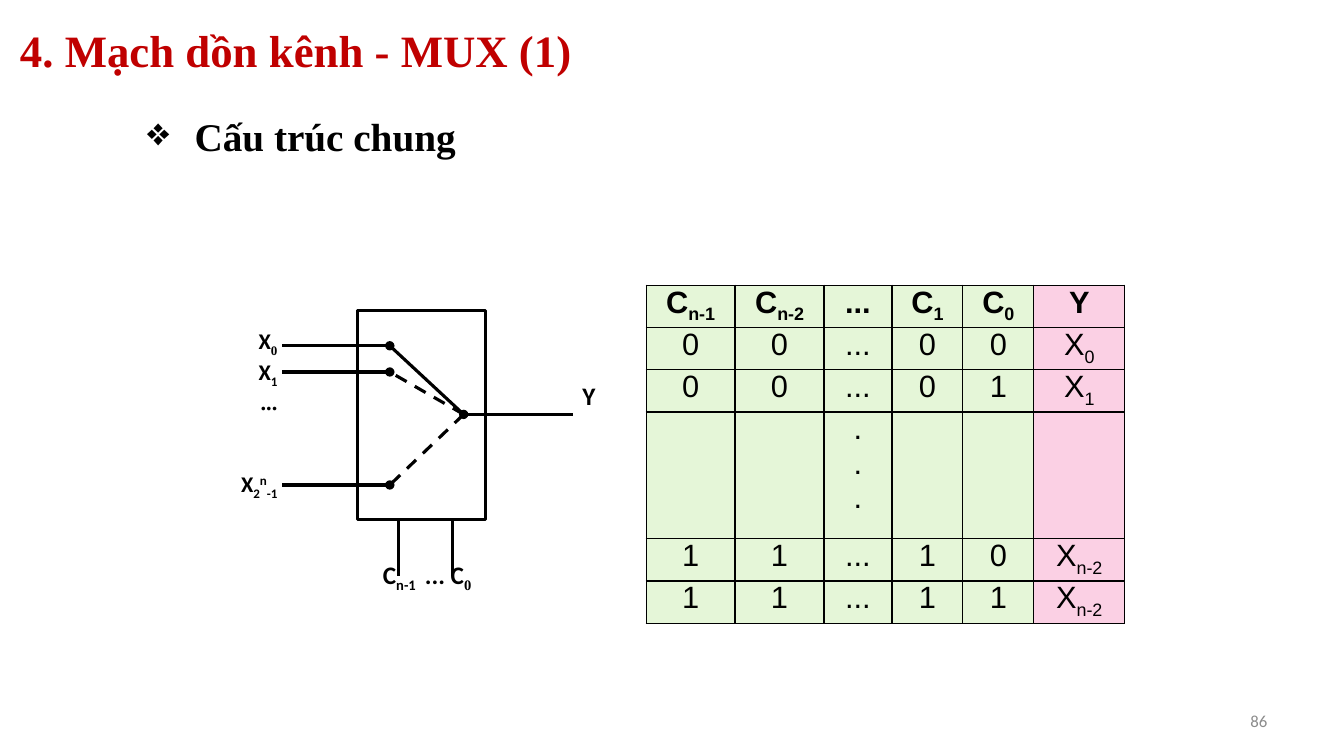
from lxml import etree
from pptx import Presentation
from pptx.dml.color import RGBColor
from pptx.enum.dml import MSO_LINE_DASH_STYLE as DASH
from pptx.enum.shapes import MSO_CONNECTOR as CONN, MSO_SHAPE as SHAPE
from pptx.enum.text import MSO_ANCHOR as ANCHOR, PP_ALIGN as ALIGN
from pptx.oxml.ns import qn
from pptx.util import Pt

BLACK, RED, GREY = "000000", "C00000", "8C8C8C"
GREEN, PINK = "E5F6D8", "FBD0E4"
SERIF, SANS, TABLE_FONT = "Times New Roman", "Calibri", "Arial"
SUB, SUPER = -25, 30


def rgb(color):
    return RGBColor.from_string(color)


def add_run(p, text, size, font, color=BLACK, bold=True, base=0):
    """Add a run; base is its shift in percent, negative for a subscript."""
    r = p.add_run()
    r.text = text
    r.font.size, r.font.name, r.font.bold = Pt(size), font, bold
    r.font.color.rgb = rgb(color)
    if base:
        r.font._element.set("baseline", str(base * 1000))


def add_box(s, x, y, w, h, anchor=ANCHOR.TOP, wrap=True):
    tf = s.shapes.add_textbox(Pt(x), Pt(y), Pt(w), Pt(h)).text_frame
    tf.word_wrap, tf.vertical_anchor = wrap, anchor
    return tf


def add_line(s, start, end, dashed=False, dot=None):
    """Draw a line; dot is "headEnd" or "tailEnd" for a round end."""
    c = s.shapes.add_connector(CONN.STRAIGHT, *(Pt(v) for v in (*start, *end)))
    c.line.width = Pt(2.25)
    c.line.color.rgb = rgb(BLACK)
    if dashed:
        c.line.dash_style = DASH.DASH
    if dot:
        etree.SubElement(c.line._get_or_add_ln(), qn("a:" + dot), type="oval")
    etree.SubElement(c._element.spPr, qn("a:effectLst"))


def add_title(s, x, y, w, h):
    p = add_box(s, x, y, w, h, ANCHOR.MIDDLE).paragraphs[0]
    add_run(p, "4. Mạch dồn kênh - MUX (1)", 32, SERIF, RED)


def add_heading(s, x, y, w, h):
    p = add_box(s, x, y, w, h, wrap=False).paragraphs[0]
    pPr = p._p.get_or_add_pPr()
    pPr.set("marL", str(Pt(34)))
    pPr.set("indent", str(Pt(-34)))
    etree.SubElement(pPr, qn("a:buChar"), char="❖")
    add_run(p, "Cấu trúc chung", 28, SERIF)


def add_page_number(s, x, y, w, h):
    p = add_box(s, x, y, w, h, ANCHOR.MIDDLE).paragraphs[0]
    p.alignment = ALIGN.RIGHT
    add_run(p, "86", 12, SANS, GREY, False)


def add_multiplexer(s, x, y, w, h):
    """Draw the switch block in the given box, with its labels around it."""
    block = s.shapes.add_shape(SHAPE.RECTANGLE, Pt(x), Pt(y), Pt(w), Pt(h))
    block.shadow.inherit = False
    block.fill.solid()
    block.fill.fore_color.rgb = rgb("FFFFFF")
    block.line.color.rgb = rgb(BLACK)
    block.line.width = Pt(2.25)

    contact_x = x + w / 4
    pivot = x + 75.6, y + 74.2
    contacts = [(contact_x, y + dy) for dy in (25.2, 43.9, 124.6)]
    for contact in contacts:
        add_line(s, (x - 54, contact[1]), contact, dot="tailEnd")
    add_line(s, pivot, (pivot[0] + 77.8, pivot[1]), dot="headEnd")
    add_line(s, contacts[0], pivot)
    for contact in contacts[1:]:
        add_line(s, pivot, contact, dashed=True)
    for dx in (28.8, 67.7):
        add_line(s, (x + dx, y + h), (x + dx, y + h + 40.5))

    inputs = [
        [("X", 0, SANS), ("0", SUB, SERIF)],
        [("X", 0, SANS), ("1", SUB, SANS)],
        [("...", 0, SERIF)],
        [("X", 0, SANS), ("2", SUB, SANS), ("n", SUPER, SANS), ("-1", SUB, SANS)],
    ]
    controls = [("C", 0, SANS), ("n-1 ", SUB, SANS), (" ... C", 0, SANS),
                ("0", SUB, SERIF)]
    labels = [
        ((x - 109.4, y + 8.6, 59, 139), 16, ALIGN.RIGHT, inputs),
        ((x + 10.8, y + 174.2, 90, 51.8), 18, ALIGN.LEFT, [controls]),
        ((x + 153.4, y + 46, 31, 48.2), 18, ALIGN.LEFT, [[("Y", 0, SANS)]]),
    ]
    for box, size, align, lines in labels:
        tf = add_box(s, *box)
        for i, runs in enumerate(lines):
            p = tf.add_paragraph() if i else tf.paragraphs[0]
            p.alignment = align
            for text, base, font in runs:
                add_run(p, text, size, font, base=base)
    last_input = s.shapes[-3].text_frame.paragraphs[-1]
    last_input.space_before = Pt(39)


def add_borders(cell):
    tcPr = cell._tc.get_or_add_tcPr()
    for side in ("lnL", "lnR", "lnT", "lnB"):
        ln = etree.SubElement(tcPr, qn("a:" + side), w=str(Pt(1)))
        fill = etree.SubElement(ln, qn("a:solidFill"))
        etree.SubElement(fill, qn("a:srgbClr"), val=BLACK)


def fill_cell(cell, text, color, bold):
    """Write the lines of a cell; the part after "_" is a subscript."""
    cell.margin_left = cell.margin_right = Pt(8.6)
    cell.margin_top = cell.margin_bottom = 0
    add_borders(cell)
    cell.fill.solid()
    cell.fill.fore_color.rgb = rgb(color)
    for i, line in enumerate(text.split()):
        tf = cell.text_frame
        p = tf.add_paragraph() if i else tf.paragraphs[0]
        p.alignment = ALIGN.CENTER
        name, _, index = line.partition("_")
        add_run(p, name, 22, TABLE_FONT, bold=bold)
        if index:
            add_run(p, index, 22, TABLE_FONT, bold=bold, base=SUB)


def add_truth_table(s, x, y, w, h):
    rows = [
        ["C_n-1", "C_n-2", "...", "C_1", "C_0", "Y"],
        ["0", "0", "...", "0", "0", "X_0"],
        ["0", "0", "...", "0", "1", "X_1"],
        ["", "", ". . .", "", "", ""],
        ["1", "1", "...", "1", "0", "X_n-2"],
        ["1", "1", "...", "1", "1", "X_n-2"],
    ]
    col_shares = [89, 89, 68, 71, 71, 91]
    row_shares = [1, 1, 1, 3, 1, 1]
    table = s.shapes.add_table(len(rows), len(col_shares),
                               Pt(x), Pt(y), Pt(w), Pt(h)).table
    table.first_row = table.horz_banding = False
    for col, share in zip(table.columns, col_shares):
        col.width = Pt(w * share / sum(col_shares))
    for row, share in zip(table.rows, row_shares):
        row.height = Pt(h * share / sum(row_shares))
    for i, texts in enumerate(rows):
        for j, text in enumerate(texts):
            color = PINK if j == len(texts) - 1 else GREEN
            fill_cell(table.cell(i, j), text, color, bold=i == 0)


def main():
    prs = Presentation()
    prs.slide_width, prs.slide_height = Pt(960), Pt(540)
    s = prs.slides.add_slide(prs.slide_layouts[6])
    add_title(s, 7.2, 13, 648, 44.6)
    add_page_number(s, 688.3, 500.4, 224, 28.8)
    add_heading(s, 98, 77, 237.6, 41)
    add_multiplexer(s, 255.6, 221.8, 91.4, 149.4)
    add_truth_table(s, 461.5, 203.8, 342, 241.4)
    prs.save("out.pptx")


if __name__ == "__main__":
    main()
